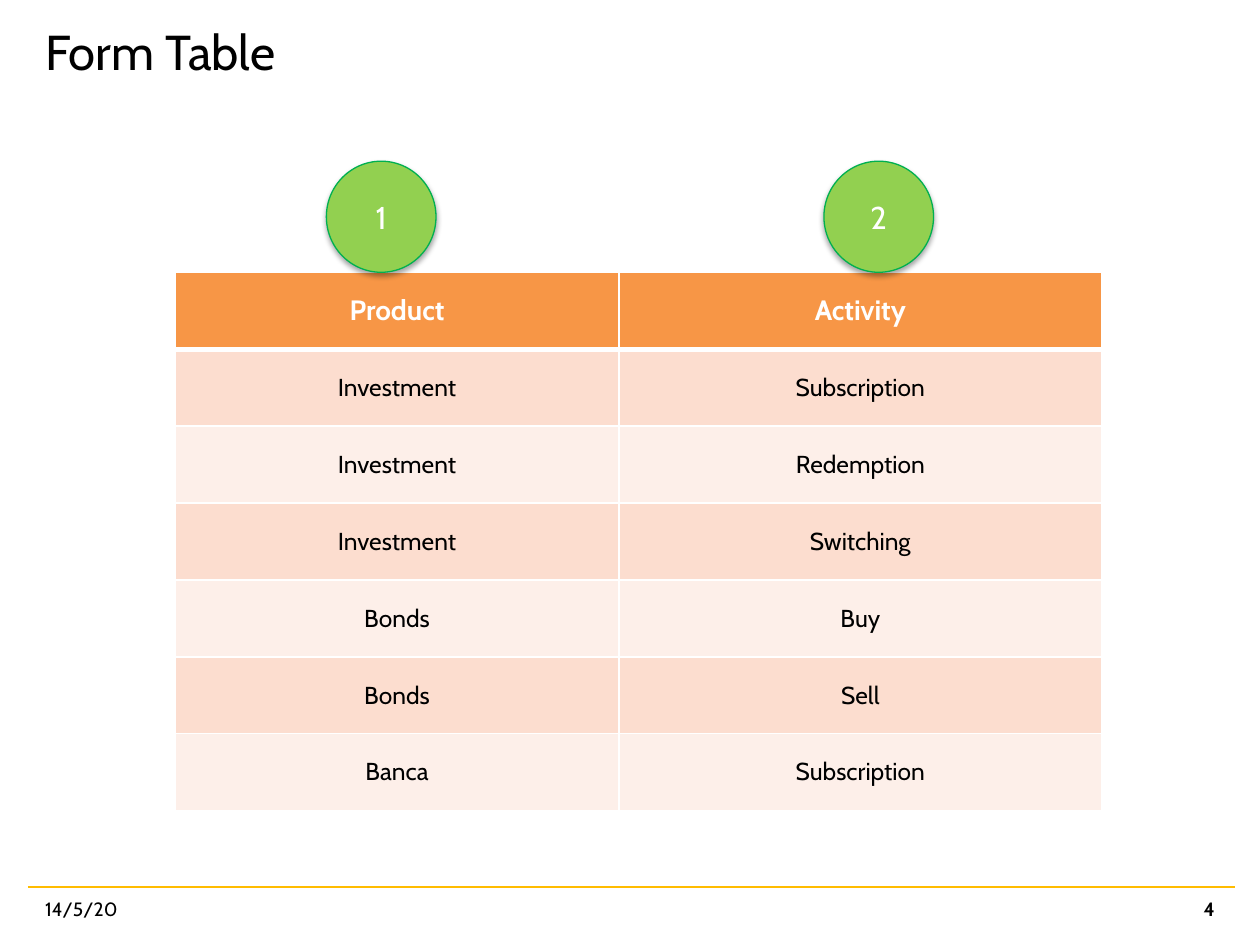
"""Build the Form Table slide: two numbered columns of products and activities."""
from lxml import etree
from pptx import Presentation, util as u
from pptx.dml.color import RGBColor
from pptx.enum import shapes, text
from pptx.oxml.ns import qn

COLORS = {"black": "000000", "white": "FFFFFF", "rule": "FFBC00", "header": "F79646",
          "odd": "FCDDCF", "even": "FDEFE9", "circle": "92D050", "outline": "00B050"}
FONT = "Cabin"
LEFT, CENTER, RIGHT = text.PP_ALIGN.LEFT, text.PP_ALIGN.CENTER, text.PP_ALIGN.RIGHT

ROWS = [
    ("Product", "Activity"),
    ("Investment", "Subscription"),
    ("Investment", "Redemption"),
    ("Investment", "Switching"),
    ("Bonds", "Buy"),
    ("Bonds", "Sell"),
    ("Banca", "Subscription"),
]
LABELS = [
    ("Form Table", (0.66, 0, 19, 2.06), 28, LEFT, False),
    ("14/5/20", (0.66, 17.81, 5.92, 1.02), 11, LEFT, False),
    ("4", (18.82, 17.81, 5.92, 1.02), 11, RIGHT, True),
]
CIRCLES = [("1", 6.58), ("2", 16.61)]
CIRCLE_W, CIRCLE_H = 2.21, 2.24
TABLE_X, TABLE_Y, ROW_H = 3.53, 5.49, 1.55
COL_WIDTHS = [8.95, 9.73]


def rgb(name):
    return RGBColor.from_string(COLORS[name])


def write(tf, content, size, color, align, bold=False):
    tf.text = content
    tf.word_wrap = True
    p = tf.paragraphs[0]
    p.alignment = align
    r = p.runs[0]
    r.font.name, r.font.size, r.font.bold = FONT, u.Pt(size), bold
    r.font.color.rgb = rgb(color)


def add_color(parent, name):
    fill = etree.SubElement(parent, qn("a:solidFill"))
    return etree.SubElement(fill, qn("a:srgbClr"), val=COLORS[name])


def add_borders(cell, widths):
    tc_pr = cell._tc.get_or_add_tcPr()
    for i, (side, width) in enumerate(widths.items()):
        ln = etree.Element(qn(f"a:ln{side}"), w=str(u.Pt(width)))
        add_color(ln, "white")
        tc_pr.insert(i, ln)


def add_labels(s):
    for content, box, size, align, bold in LABELS:
        tf = s.shapes.add_textbox(*map(u.Cm, box)).text_frame
        write(tf, content, size, "black", align, bold)
        tf.vertical_anchor = text.MSO_ANCHOR.MIDDLE


def add_rule(s):
    line = s.shapes.add_connector(shapes.MSO_CONNECTOR.STRAIGHT,
                                  u.Cm(0.56), u.Cm(17.88), u.Cm(24.89), u.Cm(17.88))
    line.line.color.rgb, line.line.width = rgb("rule"), u.Pt(1.5)
    etree.SubElement(line._element.spPr, qn("a:effectLst"))


def add_form_table(s):
    table = s.shapes.add_table(len(ROWS), len(COL_WIDTHS), u.Cm(TABLE_X), u.Cm(TABLE_Y),
                               u.Cm(sum(COL_WIDTHS)), u.Cm(ROW_H * len(ROWS))).table
    for column, width in zip(table.columns, COL_WIDTHS):
        column.width = u.Cm(width)
    for i, values in enumerate(ROWS):
        table.rows[i].height = u.Cm(ROW_H)
        header = i == 0
        fill = "header" if header else "odd" if i % 2 else "even"
        for j, value in enumerate(values):
            cell = table.cell(i, j)
            cell.vertical_anchor = text.MSO_ANCHOR.MIDDLE
            cell.fill.solid()
            cell.fill.fore_color.rgb = rgb(fill)
            write(cell.text_frame, value, 16 if header else 14,
                  "white" if header else "black", CENTER, header)
            add_borders(cell, {"L": 1, "R": 1, "T": 3 if i == 1 else 1, "B": 3 if header else 1})


def add_circles(s):
    for number, x in CIRCLES:
        sp = s.shapes.add_shape(shapes.MSO_SHAPE.OVAL, u.Cm(x), u.Cm(TABLE_Y - CIRCLE_H),
                                u.Cm(CIRCLE_W), u.Cm(CIRCLE_H))
        sp.fill.solid()
        sp.fill.fore_color.rgb = rgb("circle")
        sp.line.color.rgb, sp.line.width = rgb("outline"), u.Pt(0.75)
        sp.shadow.inherit = False
        shadow = etree.SubElement(sp._element.spPr.find(qn("a:effectLst")), qn("a:outerShdw"),
                                  blurRad=str(u.Pt(3.1)), dist=str(u.Pt(1.8)),
                                  dir="5400000", rotWithShape="0")
        color = etree.SubElement(shadow, qn("a:srgbClr"), val=COLORS["black"])
        etree.SubElement(color, qn("a:alpha"), val="35000")
        write(sp.text_frame, number, 18, "white", CENTER)
        sp.text_frame.vertical_anchor = text.MSO_ANCHOR.MIDDLE


def main():
    prs = Presentation()
    prs.slide_width, prs.slide_height = u.Cm(25.4), u.Cm(19.05)
    s = prs.slides.add_slide(prs.slide_layouts[6])
    add_rule(s)
    add_labels(s)
    add_form_table(s)
    add_circles(s)
    prs.save("out.pptx")


if __name__ == "__main__":
    main()
